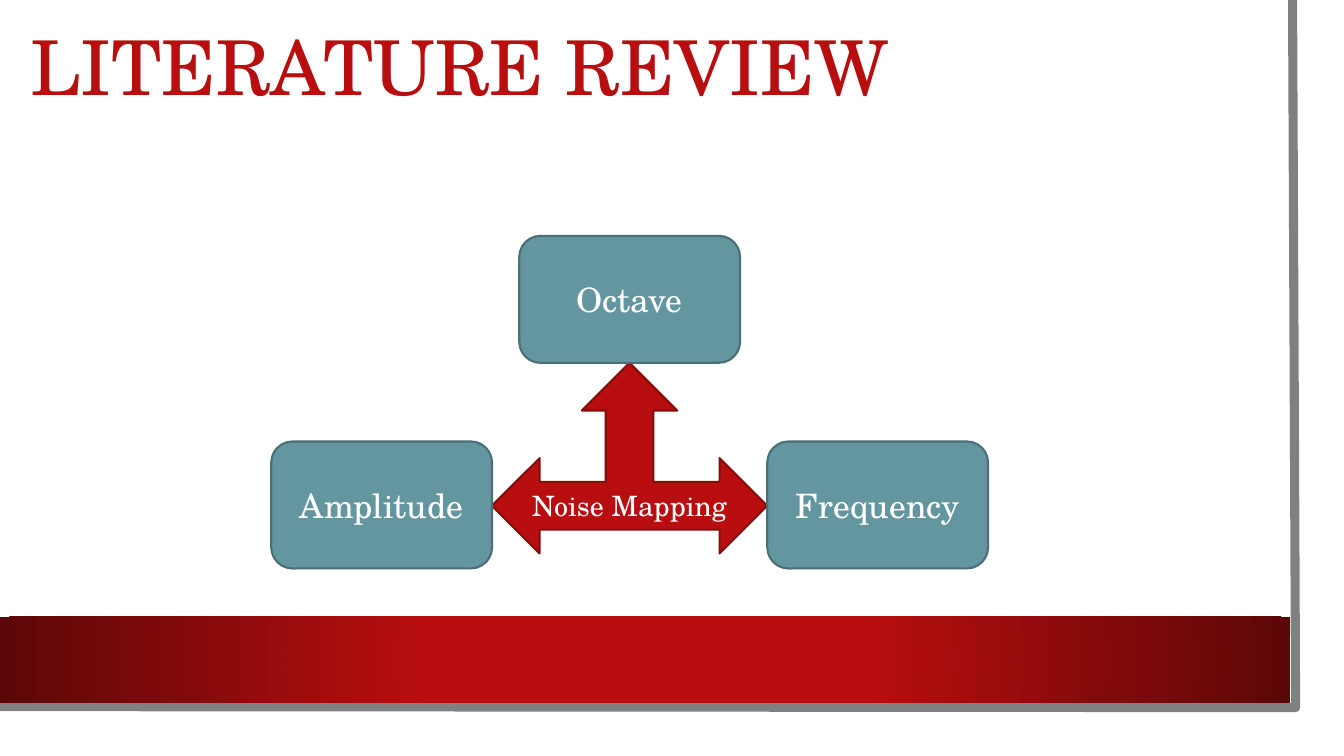
import pptx
import pptx.util
import pptx.dml.color
import pptx.enum.shapes
import pptx.enum.text
import pptx.oxml
import pptx.oxml.ns

PX = 9144
FONT = "TeX Gyre Schola"
COLORS = {
    "white": "FFFFFF",
    "red": "B80E0F",
    "dark_red": "5C0707",
    "red_edge": "880A0B",
    "teal": "64969F",
    "teal_edge": "4A6F76",
    "gray": "808080",
}
KINDS = pptx.enum.shapes.MSO_SHAPE
ALIGN = pptx.enum.text.PP_ALIGN

TITLE = "LITERATURE REVIEW"
TITLE_BOX = (20, 7, 883, 126)
HUB = "Noise Mapping"
HUB_BOX = (488, 360, 273, 189)
TOP_FACTOR = "Octave"
LEFT_FACTOR = "Amplitude"
RIGHT_FACTOR = "Frequency"
FACTOR_SIZE = (219, 126)
SIDE_TOP = 438
BAND_BOX = (0, 612, 1280, 85)
FRAME_POINTS = [(1282, 0), (1285, 702), (-3, 701)]


def rgb(name):
    return pptx.dml.color.RGBColor.from_string(COLORS[name])


def write(box, text, size, color, align, spacing=1.0):
    frame = box.text_frame
    frame.word_wrap = True
    frame.vertical_anchor = pptx.enum.text.MSO_ANCHOR.MIDDLE
    para = frame.paragraphs[0]
    para.alignment = align
    para.line_spacing = spacing
    span = para.add_run()
    span.text = text
    span.font.color.rgb = rgb(color)
    for name, value in {"name": FONT, "size": pptx.util.Pt(size)}.items():
        setattr(span.font, name, value)


def add_block(page, kind, bounds, fill, edge, text, size):
    box = page.shapes.add_shape(kind, *(length * PX for length in bounds))
    box.shadow.inherit = False
    box.fill.solid()
    box.fill.fore_color.rgb = rgb(fill)
    box.line.color.rgb = rgb(edge)
    box.line.width = pptx.util.Pt(1.5)
    write(box, text, size, "white", ALIGN.CENTER)


def add_frame(page):
    builder = page.shapes.build_freeform(*FRAME_POINTS[0], scale=PX)
    builder.add_line_segments(FRAME_POINTS[1:], close=False)
    border = builder.convert_to_shape()
    border.shadow.inherit = False
    border.fill.background()
    border.line.color.rgb = rgb("gray")
    border.line.width = pptx.util.Pt(6.5)


def add_band(page):
    band = page.shapes.add_shape(KINDS.RECTANGLE, *(length * PX for length in BAND_BOX))
    band.shadow.inherit = False
    band.line.fill.background()
    band.fill.background()
    stops = "".join(
        f'<a:gs pos="{position}"><a:srgbClr val="{COLORS[color]}"/></a:gs>'
        for position, color in [(34000, "red"), (100000, "dark_red")]
    )
    gradient = pptx.oxml.parse_xml(
        f'<a:gradFill {pptx.oxml.ns.nsdecls("a")}><a:gsLst>{stops}</a:gsLst>'
        '<a:path path="circle"><a:fillToRect l="50000" t="50000" r="50000" b="50000"/>'
        "</a:path></a:gradFill>"
    )
    properties = band.element.spPr
    properties.replace(properties.find(pptx.oxml.ns.qn("a:noFill")), gradient)


def main():
    deck = pptx.Presentation()
    deck.slide_width = 1333 * PX
    deck.slide_height = 750 * PX
    page = deck.slides.add_slide(deck.slide_layouts[6])
    page.background.fill.solid()
    page.background.fill.fore_color.rgb = rgb("white")

    add_frame(page)
    add_band(page)
    title = page.shapes.add_textbox(*(length * PX for length in TITLE_BOX))
    write(title, TITLE, 54, "red", ALIGN.LEFT, 0.9)

    add_block(page, KINDS.LEFT_RIGHT_UP_ARROW, HUB_BOX, "red", "red_edge", HUB, 20)
    left, top, width, height = HUB_BOX
    factor_width, factor_height = FACTOR_SIZE
    factors = [
        (TOP_FACTOR, left + (width - factor_width) // 2, top - factor_height),
        (LEFT_FACTOR, left - factor_width, SIDE_TOP),
        (RIGHT_FACTOR, left + width, SIDE_TOP),
    ]
    for text, x, y in factors:
        bounds = (x, y, factor_width, factor_height)
        add_block(page, KINDS.ROUNDED_RECTANGLE, bounds, "teal", "teal_edge", text, 24)

    deck.save("out.pptx")


if __name__ == "__main__":
    main()
